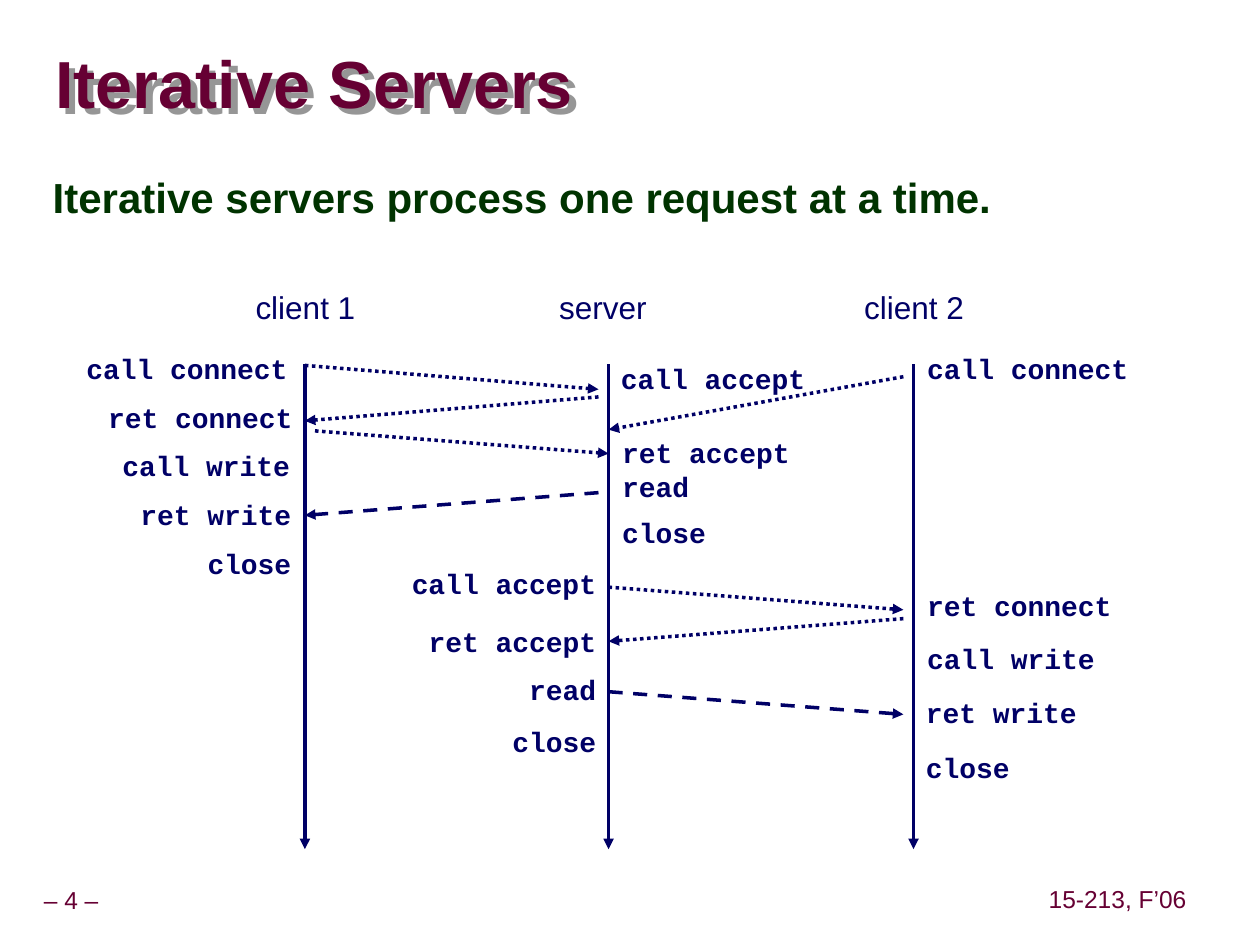
from typing import NamedTuple

import pptx
import pptx.dml.color
import pptx.enum.dml
import pptx.enum.shapes
import pptx.enum.text
import pptx.oxml
import pptx.oxml.ns
import pptx.util
from pptx.util import Inches

Align = pptx.enum.text.PP_ALIGN
Anchor = pptx.enum.text.MSO_ANCHOR
Dash = pptx.enum.dml.MSO_LINE
NS = pptx.oxml.ns.nsdecls("a")

COLORS = {"wine": "660033", "green": "003300", "navy": "000066", "gray": "969696"}
LEFT, MID, RIGHT = 2.42, 4.83, 7.25
GAP = 0.08
CHAR = 0.134


class Call(NamedTuple):
    text: str
    edge: float
    top: float


class Arrow(NamedTuple):
    x1: float
    y1: float
    x2: float
    y2: float
    dash: Dash | None = Dash.ROUND_DOT


HEADS = [("client 1", LEFT), ("server", MID), ("client 2", RIGHT)]

BEFORE = [
    Call("call connect", 2.38, 2.74),
    Call("ret connect", 2.42, 3.13),
    Call("call write", 2.4, 3.51),
    Call("ret write", 2.41, 3.9),
    Call("close", 2.41, 4.29),
    Call("call accept", MID, 4.45),
    Call("ret accept", MID, 4.91),
    Call("read", MID, 5.29),
    Call("close", MID, 5.7),
]

AFTER = [
    Call("call accept", 4.83, 2.82),
    Call("ret accept", 4.84, 3.41),
    Call("read", 4.84, 3.68),
    Call("close", 4.84, 4.04),
    Call("call connect", 7.26, 2.74),
    Call("ret connect", 7.26, 4.62),
    Call("call write", 7.26, 5.04),
    Call("ret write", 7.25, 5.47),
    Call("close", 7.25, 5.91),
]

ARROWS = [Arrow(x, 2.89, x, 6.74, None) for x in (LEFT, MID, RIGHT)] + [
    Arrow(LEFT, 2.9, MID - GAP, 3.09),
    Arrow(MID - GAP, 3.15, LEFT, 3.34),
    Arrow(LEFT + GAP, 3.42, MID, 3.6),
    Arrow(RIGHT - GAP, 2.99, MID, 3.41),
    Arrow(MID - GAP, 3.91, LEFT, 4.09, Dash.DASH),
    Arrow(MID, 4.66, RIGHT - GAP, 4.84),
    Arrow(RIGHT - GAP, 4.91, MID, 5.09),
    Arrow(MID, 5.49, RIGHT - GAP, 5.67, Dash.DASH),
]


def add_text(slide, text: str, x: float, y: float, w: float, h: float, *,
             size: int, color: str = "navy", face: str = "Arial",
             bold: bool = False, align: Align = Align.LEFT,
             anchor: Anchor = Anchor.TOP, pad: tuple = (0.1, 0.05),
             wrap: bool = True, space: float = 1.0, shade: bool = False) -> None:
    box = slide.shapes.add_textbox(Inches(x), Inches(y), Inches(w), Inches(h))
    if shade:
        box._element.spPr.append(pptx.oxml.parse_xml(
            f'<a:effectLst {NS}><a:outerShdw dist="63500" dir="2700000">'
            f'<a:srgbClr val="{COLORS["gray"]}"/></a:outerShdw></a:effectLst>'))
    frame = box.text_frame
    frame.word_wrap = wrap
    frame.vertical_anchor = anchor
    frame.margin_left = frame.margin_right = Inches(pad[0])
    frame.margin_top = frame.margin_bottom = Inches(pad[1])
    para = frame.paragraphs[0]
    para.alignment = align
    para.line_spacing = space
    run = para.add_run()
    run.text = text
    font = run.font
    font.name = face
    font.size = pptx.util.Pt(size)
    font.bold = bold
    font.color.rgb = pptx.dml.color.RGBColor.from_string(COLORS[color])


def add_call(slide, call: Call, before: bool) -> None:
    width = round(CHAR * len(call.text) + 0.2, 2)
    add_text(slide, call.text, call.edge - width if before else call.edge,
             call.top, width, 0.37, size=16, face="Courier New", bold=True,
             align=Align.RIGHT if before else Align.LEFT)


def add_arrow(slide, arrow: Arrow) -> None:
    link = slide.shapes.add_connector(
        pptx.enum.shapes.MSO_CONNECTOR.STRAIGHT,
        Inches(arrow.x1), Inches(arrow.y1), Inches(arrow.x2), Inches(arrow.y2))
    line = link.line
    line.width = pptx.util.Pt(2)
    line.color.rgb = pptx.dml.color.RGBColor.from_string(COLORS["navy"])
    if arrow.dash is not None:
        line.dash_style = arrow.dash
    line._get_or_add_ln().append(
        pptx.oxml.parse_xml(f'<a:tailEnd {NS} type="triangle"/>'))
    link._element.spPr.append(pptx.oxml.parse_xml(f"<a:effectLst {NS}/>"))


def main() -> None:
    deck = pptx.Presentation()
    deck.slide_width, deck.slide_height = Inches(10), Inches(7.5)
    slide = deck.slides.add_slide(deck.slide_layouts[6])

    for text, x, y, w in (("– 4 –", -0.09, 7, 1.31), ("15-213, F’06", 8.27, 6.99, 1.2)):
        add_text(slide, text, x, y, w, 0.31, size=14, color="wine", wrap=False,
                 align=Align.CENTER, anchor=Anchor.MIDDLE, pad=(0.05, 0.05), space=0.9)
    add_text(slide, "Iterative Servers", 0.44, 0.27, 9.53, 0.85, size=38, color="wine",
             bold=True, anchor=Anchor.MIDDLE, pad=(0, 0), space=0.87, shade=True)
    add_text(slide, "Iterative servers process one request at a time.",
             0.32, 1.34, 9.09, 0.5, size=24, color="green", bold=True, space=0.95)

    for text, x in HEADS:
        add_text(slide, text, x - 0.49, 2.24, 1.1, 0.4, size=18)
    for arrow in ARROWS:
        add_arrow(slide, arrow)
    for call in BEFORE:
        add_call(slide, call, before=True)
    for call in AFTER:
        add_call(slide, call, before=False)

    deck.save("out.pptx")


if __name__ == "__main__":
    main()
